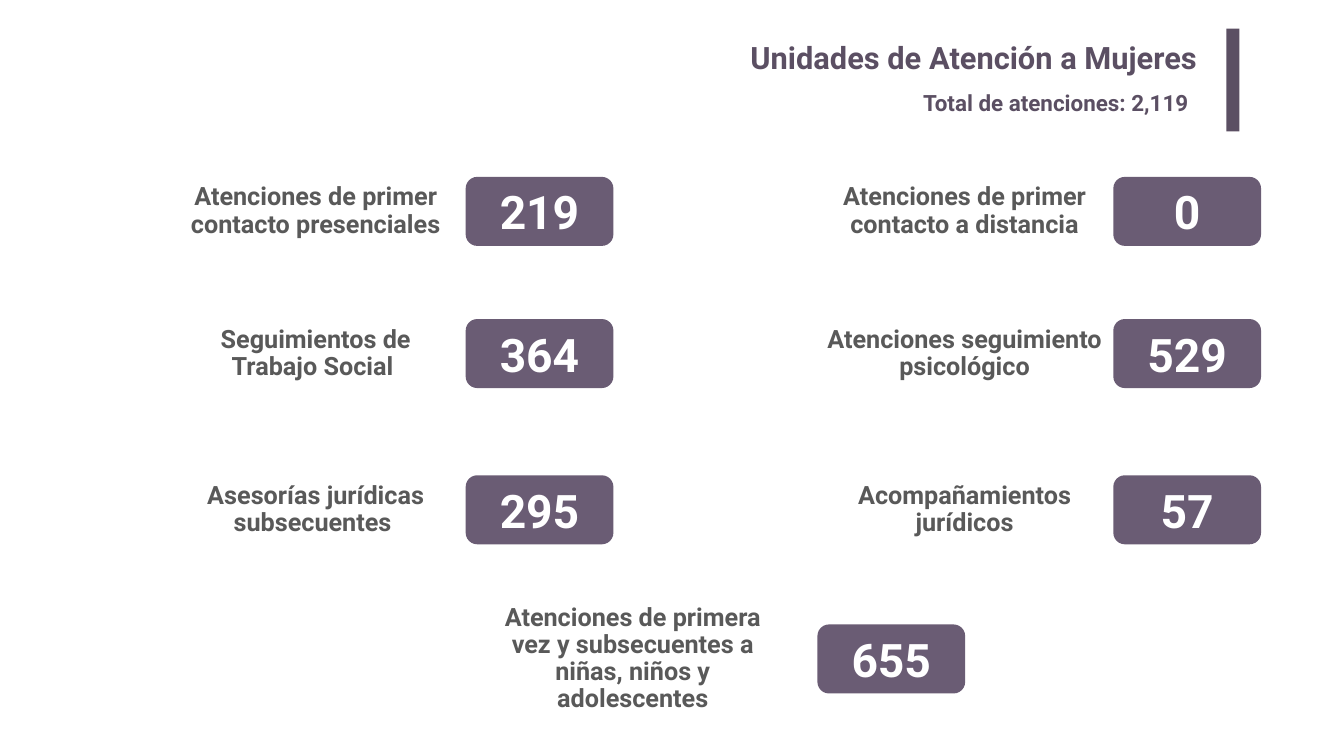
import pptx
import pptx.util
import pptx.dml.color
import pptx.enum.shapes
import pptx.enum.text

Pt = pptx.util.Pt
SHAPE = pptx.enum.shapes.MSO_SHAPE
ALIGN = pptx.enum.text.PP_ALIGN
ANCHOR = pptx.enum.text.MSO_ANCHOR

TITLE = "Unidades de Atención a Mujeres"
TOTAL = "Total de atenciones: 2,119"
LEFT, MIDDLE, RIGHT = (665.3, 451), (1167.8, 904), (1590.5, 1378)
ROWS = [252.7, 455.8, 679, 892.1]
SERVICES = [
    (LEFT, 0, "Atenciones de primer contacto presenciales", "219", 394),
    (RIGHT, 0, "Atenciones de primer contacto a distancia", "0", 372),
    (LEFT, 1, "Seguimientos de Trabajo Social ", "364", 402),
    (RIGHT, 1, "Atenciones seguimiento psicológico", "529", 562),
    (LEFT, 2, "Asesorías jurídicas subsecuentes ", "295", 436),
    (RIGHT, 2, "Acompañamientos jurídicos", "57", 465),
    (MIDDLE, 3, "Atenciones de primera vez y subsecuentes a niñas, niños y adolescentes", "655", 432),
]
CARD_W, CARD_H = 211, 98.6
DARK, PURPLE, GRAY, WHITE = "5B4F63", "6A5C74", "595959", "FFFFFF"


def rgb(value):
    return pptx.dml.color.RGBColor.from_string(value)


def add_block(s, kind, x, y, w, h, fill):
    sp = s.shapes.add_shape(kind, Pt(x), Pt(y), Pt(w), Pt(h))
    sp.shadow.inherit = False
    sp.fill.solid()
    sp.fill.fore_color.rgb = rgb(fill)
    sp.line.fill.background()
    return sp


def write(sp, text, size, color, align, anchor=ANCHOR.MIDDLE, inset=(7.2, 3.6)):
    tf = sp.text_frame
    tf.word_wrap = True
    tf.vertical_anchor = anchor
    tf.margin_left = tf.margin_right = Pt(inset[0])
    tf.margin_top = tf.margin_bottom = Pt(inset[1])
    p = tf.paragraphs[0]
    p.alignment = align
    r = p.add_run()
    r.text = text
    r.font.name = "Roboto"
    r.font.size = Pt(size)
    r.font.bold = True
    r.font.color.rgb = rgb(color)
    return p


def add_text(s, x, y, w, h, *style, **options):
    sp = s.shapes.add_textbox(Pt(x), Pt(y), Pt(w), Pt(h))
    return write(sp, *style, **options)


def main():
    prs = pptx.Presentation()
    prs.slide_width, prs.slide_height = Pt(1920), Pt(1080)
    s = prs.slides.add_slide(prs.slide_layouts[6])

    add_text(s, 263.5, 48.2, 1461.6, 73.4, TITLE, 44, DARK, ALIGN.RIGHT,
             anchor=ANCHOR.TOP, inset=(14.4, 7.2))
    add_text(s, 1311.8, 123.1, 426.2, 46.1, TOTAL, 32, DARK, ALIGN.LEFT,
             anchor=ANCHOR.TOP)
    add_block(s, SHAPE.RECTANGLE, 1751.8, 41, 18.7, 146.9, DARK)

    for (card_x, label_center), row, label, value, label_w in SERVICES:
        y = ROWS[row]
        card = add_block(s, SHAPE.ROUNDED_RECTANGLE, card_x, y, CARD_W, CARD_H, PURPLE)
        write(card, value, 66, WHITE, ALIGN.CENTER)
        p = add_text(s, label_center - label_w / 2, y, label_w, CARD_H,
                     label, 36, GRAY, ALIGN.CENTER)
        p.line_spacing = 0.9

    prs.save("out.pptx")


if __name__ == "__main__":
    main()
